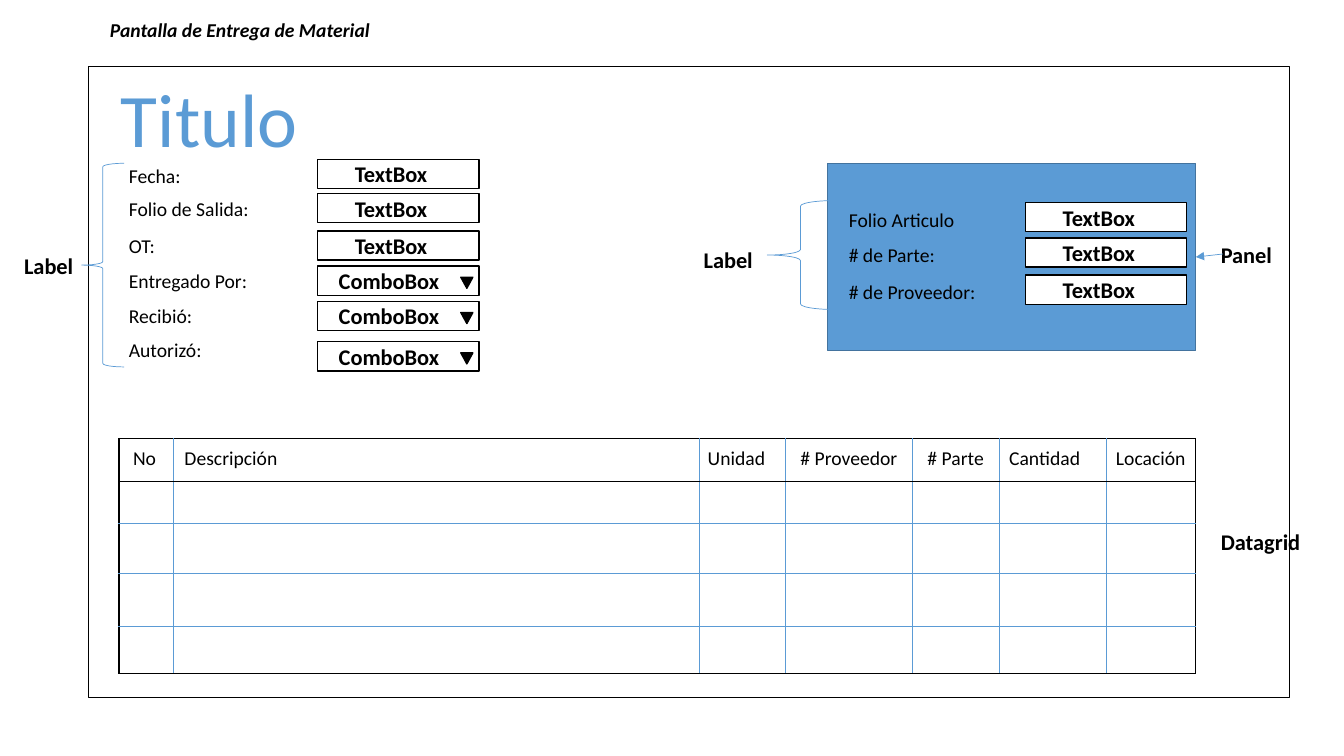
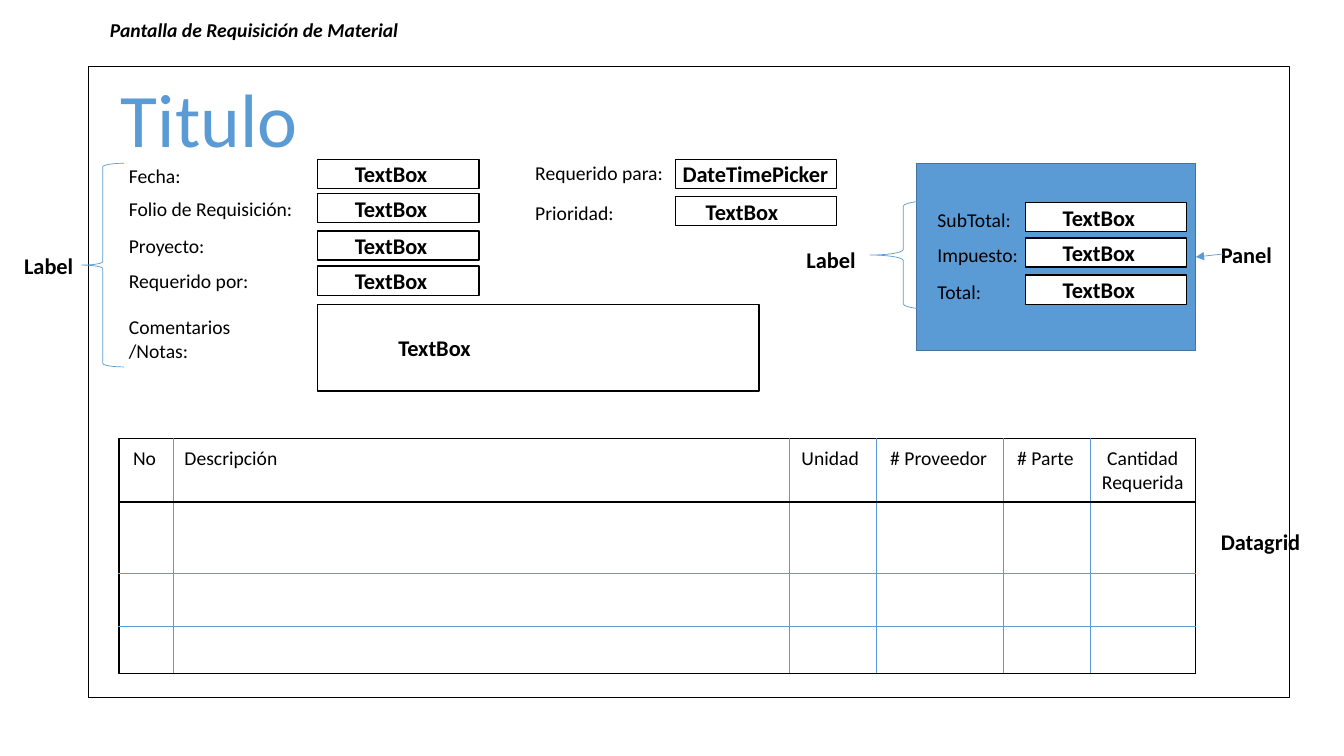
import dataclasses
import itertools

import pptx
import pptx.dml.color
import pptx.enum.shapes
import pptx.enum.text
import pptx.oxml.ns
import pptx.util
from lxml import etree

Inches = pptx.util.Inches
Pt = pptx.util.Pt
Shapes = pptx.enum.shapes.MSO_SHAPE
Align = pptx.enum.text.PP_ALIGN
qn = pptx.oxml.ns.qn


@dataclasses.dataclass(frozen=True)
class Theme:
    """Colours, font and sizes shared by both screens."""
    font: str = "Calibri"
    black: str = "000000"
    white: str = "FFFFFF"
    blue: str = "5B9BD5"
    panel_edge: str = "43739E"
    heading: int = 54
    tag: int = 16
    text: int = 14
    outline: float = 1
    hairline: float = 0.5


FIELD_WIDTH, FIELD_HEIGHT = 1.6, 0.29
FIELD_INSETS = {"TextBox": 0.37, "ComboBox": 0.21, "DateTimePicker": 0.07}
FORM_LABEL, FORM_FIELD, PANEL_FIELD = 1.18, 3.15, 10.17
GRID_LEFT, GRID_RIGHT = 1.18, 11.86
PANEL_ROWS = (2.01, 2.36, 2.73)


def rgb(colour):
    """Turn a hex string into a colour."""
    return pptx.dml.color.RGBColor.from_string(colour)


class Screen:
    """Draws the parts of a screen design on the current slide."""

    def __init__(self, deck, theme):
        """Keep the deck and its style."""
        self.deck, self.theme, self.slide = deck, theme, None

    def style(self, frame, size, colour=None, bold=False, italic=False, align=Align.LEFT):
        """Format every run of a text frame."""
        for paragraph in frame.paragraphs:
            paragraph.alignment = align
            for run in paragraph.runs:
                run.font.name, run.font.size = self.theme.font, Pt(size)
                run.font.bold, run.font.italic = bold, italic
                run.font.color.rgb = rgb(colour or self.theme.black)

    def start(self, name):
        """Add a slide and write its title."""
        self.slide = self.deck.slides.add_slide(self.deck.slide_layouts[5])
        title = self.slide.shapes.title
        title.left, title.top = Inches(0.99), Inches(0.13)
        title.width, title.height = Inches(3.5), Inches(0.34)
        frame = title.text_frame
        frame.text = name
        frame.word_wrap = False
        frame.auto_size = pptx.enum.text.MSO_AUTO_SIZE.NONE
        frame.vertical_anchor = pptx.enum.text.MSO_ANCHOR.TOP
        self.style(frame, self.theme.text, bold=True, italic=True)

    def text(self, words, left, top, width, height, size, **look):
        """Add a line or two of free text and return its frame."""
        box = self.slide.shapes.add_textbox(*map(Inches, (left, top, width, height)))
        frame = box.text_frame
        frame.word_wrap = False
        frame.text = words
        self.style(frame, size, **look)
        return frame

    def tag(self, words, left, top):
        """Name a kind of control beside it."""
        self.text(words, left, top, 1, 0.37, self.theme.tag, bold=True)

    def label(self, words, left, top, right):
        """Add a label that reaches as far as its field."""
        frame = self.text(words, left, top, right - left, 0.34, self.theme.text)
        frame.margin_right = 0

    def shape(self, kind, left, top, width, height, line, fill=None, weight=None):
        """Add a preset shape without shadow."""
        shape = self.slide.shapes.add_shape(kind, *map(Inches, (left, top, width, height)))
        shape.shadow.inherit = False
        shape.line.color.rgb = rgb(line)
        shape.line.width = Pt(weight or self.theme.outline)
        if fill:
            shape.fill.solid()
            shape.fill.fore_color.rgb = rgb(fill)
        else:
            shape.fill.background()
        return shape

    def brace(self, left, top, width, height):
        """Gather labels with a left brace."""
        self.shape(Shapes.LEFT_BRACE, left, top, width, height,
                   self.theme.blue, weight=self.theme.hairline)

    def field(self, kind, left, top, width=FIELD_WIDTH, height=FIELD_HEIGHT, inset=None):
        """Add an input field, with a drop-down mark on a ComboBox."""
        black = self.theme.black
        field = self.shape(Shapes.RECTANGLE, left, top, width, height, black, self.theme.white)
        frame = field.text_frame
        frame.word_wrap = False
        frame.margin_left = Inches(inset or FIELD_INSETS[kind])
        frame.margin_top = frame.margin_bottom = frame.margin_right = 0
        frame.vertical_anchor = pptx.enum.text.MSO_ANCHOR.MIDDLE
        frame.text = kind
        self.style(frame, self.theme.tag, bold=True)
        if kind == "ComboBox":
            mark = self.shape(Shapes.ISOSCELES_TRIANGLE, left + 1.42, top + 0.11,
                              0.12, 0.11, black, black)
            mark.rotation = 180

    def arrow(self, x1, y1, x2, y2):
        """Add a thin arrow pointing at its second end."""
        arrow = self.slide.shapes.add_connector(
            pptx.enum.shapes.MSO_CONNECTOR.STRAIGHT, *map(Inches, (x1, y1, x2, y2)))
        arrow.line.color.rgb = rgb(self.theme.blue)
        arrow.line.width = Pt(self.theme.hairline)
        etree.SubElement(arrow.line._get_or_add_ln(), qn("a:tailEnd"), type="triangle")
        etree.SubElement(arrow._element.spPr, qn("a:effectLst"))

    def border(self, cell, side, outer):
        """Draw one side of a cell, black outside and blue inside."""
        weight = self.theme.outline if outer else self.theme.hairline
        edge = etree.SubElement(cell._tc.get_or_add_tcPr(), qn("a:ln" + side),
                                w=str(Pt(weight)))
        fill = etree.SubElement(edge, qn("a:solidFill"))
        etree.SubElement(fill, qn("a:srgbClr"),
                         val=self.theme.black if outer else self.theme.blue)

    def datagrid(self, columns, row_edges):
        """Add the table from (heading, left edge, inset) columns and row edges."""
        edges = [left for _, left, _ in columns] + [GRID_RIGHT]
        last_row, last_column = len(row_edges) - 2, len(columns) - 1
        grid = self.slide.shapes.add_table(
            last_row + 1, last_column + 1, Inches(GRID_LEFT), Inches(row_edges[0]),
            Inches(GRID_RIGHT - GRID_LEFT), Inches(row_edges[-1] - row_edges[0])).table
        grid.first_row = grid.horz_banding = False
        for column, (left, right) in zip(grid.columns, itertools.pairwise(edges)):
            column.width = Inches(right - left)
        for row, (top, bottom) in zip(grid.rows, itertools.pairwise(row_edges)):
            row.height = Inches(bottom - top)
        for r, c in itertools.product(range(last_row + 1), range(last_column + 1)):
            cell = grid.cell(r, c)
            self.border(cell, "L", c == 0)
            self.border(cell, "R", c == last_column)
            self.border(cell, "T", r < 2)
            self.border(cell, "B", r in (0, last_row))
            cell.fill.solid()
            cell.fill.fore_color.rgb = rgb(self.theme.white)
            cell.margin_top, cell.margin_bottom = Inches(0.08), 0
        for cell, (heading, _, inset) in zip(grid.rows[0].cells, columns):
            two_lines = "\n" in heading
            cell.margin_left, cell.margin_right = Inches(inset), 0
            cell.text = heading
            self.style(cell.text_frame, self.theme.text,
                       align=Align.CENTER if two_lines else Align.LEFT)

    def window(self, panel_left, panel_labels, brace_left, tag_left):
        """Draw what every screen has: frame, heading, panel and tags."""
        theme = self.theme
        self.shape(Shapes.RECTANGLE, panel_left, 1.62, GRID_RIGHT - panel_left, 1.86,
                   theme.panel_edge, theme.blue)
        self.shape(Shapes.RECTANGLE, 0.88, 0.66, 11.91, 6.26, theme.black)
        self.text("Titulo", 1.09, 0.66, 1.97, 1.01, theme.heading,
                  colour=theme.blue, align=Align.CENTER)
        self.form([(words, top, "TextBox", top) for words, top in zip(panel_labels, PANEL_ROWS)],
                  panel_left + 0.11, PANEL_FIELD)
        self.brace(0.81, 1.62, 0.42, 2.02)
        self.brace(brace_left, 1.99, 0.66, 1.08)
        self.tag("Label", 0.14, 2.45)
        self.tag("Label", tag_left, 2.39)
        self.tag("Panel", 12.01, 2.34)
        self.tag("Datagrid", 12.01, 5.19)
        self.arrow(12.13, 2.52, GRID_RIGHT, 2.55)

    def form(self, rows, label_left=FORM_LABEL, field_left=FORM_FIELD):
        """Add (label, label top, field kind, field top) rows."""
        for words, label_top, kind, field_top in rows:
            self.label(words, label_left, label_top, field_left)
            self.field(kind, field_left, field_top)


def delivery(screen):
    """Build the material delivery screen."""
    screen.start("Pantalla de Entrega de Material")
    screen.window(8.21, ("Folio Articulo", "# de Parte:", "# de Proveedor:"), 7.61, 6.88)
    screen.form([
        ("Fecha:", 1.58, "TextBox", 1.58),
        ("Folio de Salida:", 1.9, "TextBox", 1.92),
        ("OT:", 2.27, "TextBox", 2.29),
        ("Entregado Por:", 2.62, "ComboBox", 2.64),
        ("Recibió:", 2.97, "ComboBox", 2.99),
        ("Autorizó:", 3.3, "ComboBox", 3.39),
    ])
    screen.datagrid([
        ("No", GRID_LEFT, 0.14), ("Descripción", 1.72, 0.11), ("Unidad", 6.94, 0.08),
        ("# Proveedor", 7.79, 0.15), ("# Parte", 9.05, 0.15),
        ("Cantidad", 9.91, 0.1), ("Locación", 10.97, 0.1),
    ], (4.35, 4.78, 5.19, 5.69, 6.21, 6.68))


def requisition(screen):
    """Build the material requisition screen."""
    screen.start("Pantalla de Requisición de Material")
    screen.window(9.09, ("SubTotal:", "Impuesto:", "Total:"), 8.63, 7.9)
    screen.form([
        ("Fecha:", 1.58, "TextBox", 1.58),
        ("Folio de Requisición:", 1.9, "TextBox", 1.92),
        ("Proyecto:", 2.27, "TextBox", 2.29),
        ("Requerido por:", 2.62, "TextBox", 2.64),
    ])
    screen.label("Comentarios\n/Notas:", FORM_LABEL, 3.08, FORM_FIELD)
    screen.field("TextBox", FORM_FIELD, 3.02, 4.38, 0.86, inset=0.8)
    screen.form([("Requerido para:", 1.55, "DateTimePicker", 1.58)], 5.21, 6.7)
    screen.label("Prioridad:", 5.21, 1.94, 6.7)
    screen.field("TextBox", 6.7, 1.95, inset=0.3)
    screen.datagrid([
        ("No", GRID_LEFT, 0.14), ("Descripción", 1.72, 0.11), ("Unidad", 7.83, 0.12),
        ("# Proveedor", 8.69, 0.14), ("# Parte", 9.95, 0.14),
        ("Cantidad\nRequerida", 10.81, 0),
    ], (4.35, 4.98, 5.69, 6.21, 6.68))


def main():
    """Build and save the deck."""
    deck = pptx.Presentation()
    deck.slide_width, deck.slide_height = Inches(13.33), Inches(7.5)
    screen = Screen(deck, Theme())
    delivery(screen)
    requisition(screen)
    deck.save("out.pptx")


main()
